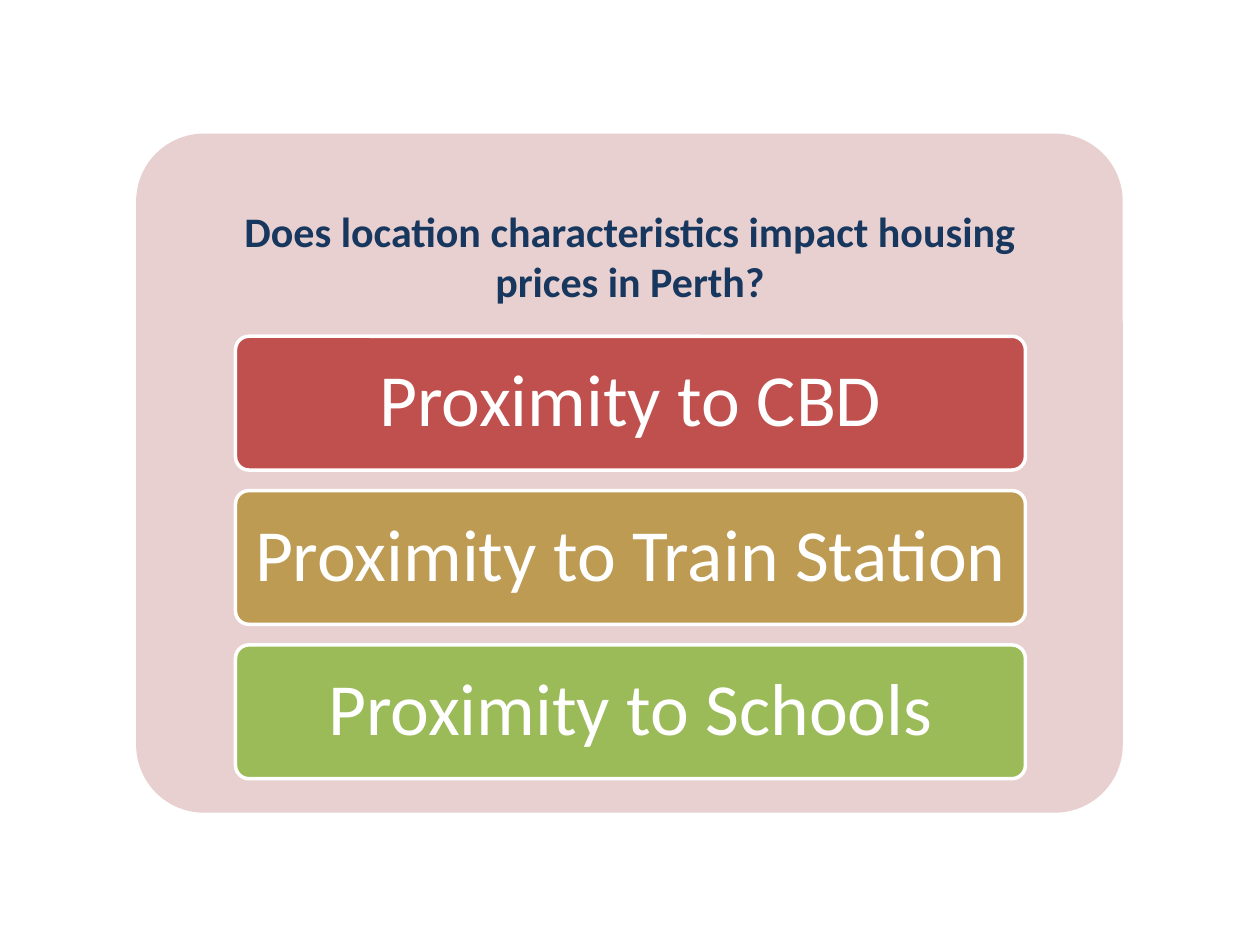
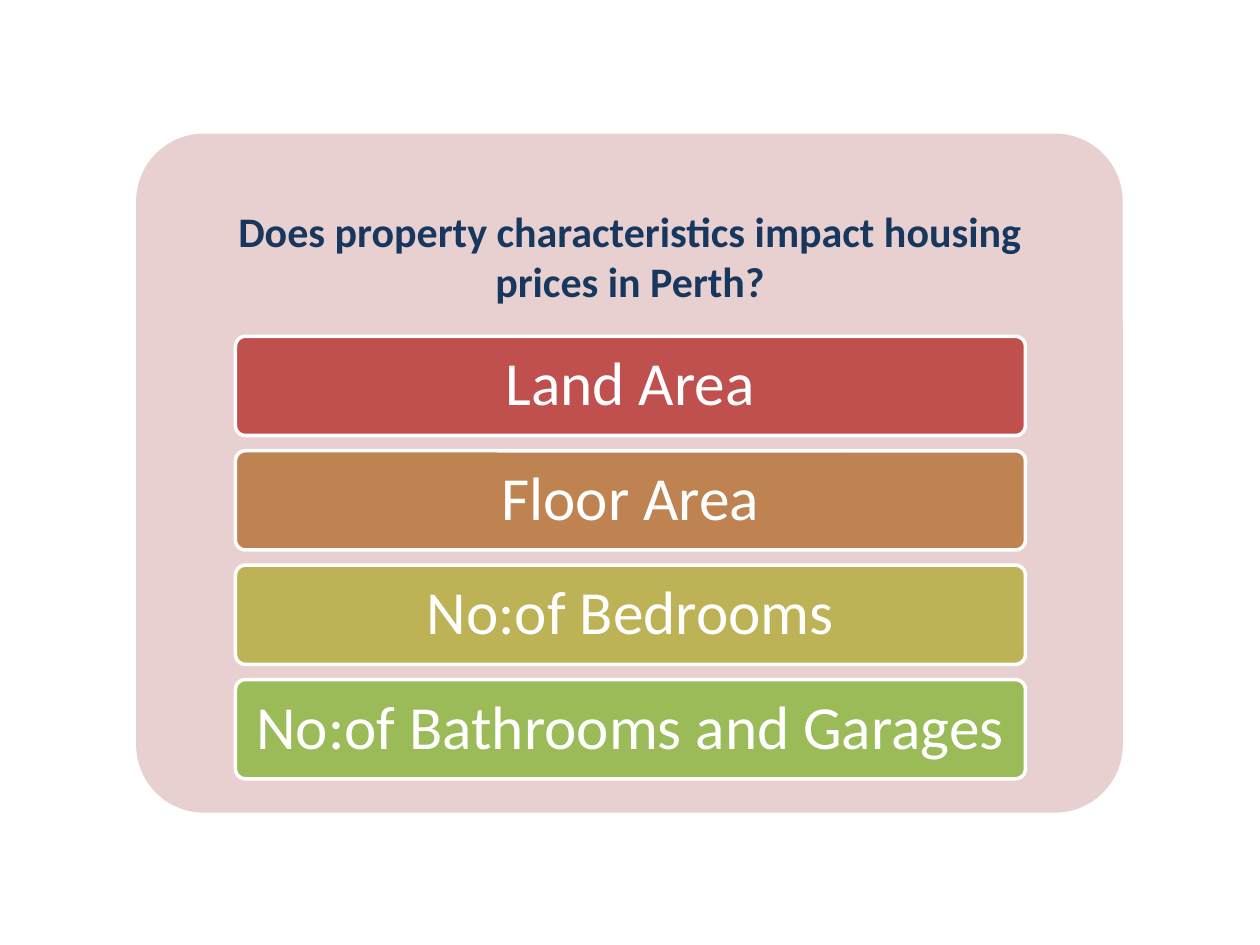
from dataclasses import dataclass

import pptx
import pptx.dml.color
import pptx.enum.shapes
import pptx.enum.text
import pptx.util

Pt = pptx.util.Pt
RGB = pptx.dml.color.RGBColor.from_string


@dataclass(frozen=True)
class Theme:
    font: str = "Calibri"
    panel: str = "E8D0D0"
    question: str = "17375E"
    white: str = "FFFFFF"
    red: str = "C0504D"
    copper: str = "BE8351"
    ochre: str = "BD9B53"
    olive: str = "BDB255"
    green: str = "9BBB59"
    question_size: int = 24
    three_factor_size: int = 42
    four_factor_size: int = 35


THEME = Theme()
TITLE_ONLY = 5

# Left, top, width and height in points
PANEL = (77.8, 76.3, 563.8, 388.1)
QUESTION = (128.9, 113.8, 462.2, 65.5)
FACTOR_STACK = (134.6, 192.2, 451.4, 252.8)
GAP_TO_BAR = 2 / 13


def write_centred(frame, text, size, color, bold=False):
    paragraph = frame.paragraphs[0]
    paragraph.alignment = pptx.enum.text.PP_ALIGN.CENTER
    run = paragraph.add_run()
    run.text = text
    run.font.name = THEME.font
    run.font.size = Pt(size)
    run.font.bold = bold
    run.font.color.rgb = RGB(color)
    return paragraph


def add_rounded_box(slide, box, fill):
    shape = slide.shapes.add_shape(
        pptx.enum.shapes.MSO_SHAPE.ROUNDED_RECTANGLE, *map(Pt, box))
    shape.adjustments[0] = 0.1
    shape.shadow.inherit = False
    shape.fill.solid()
    shape.fill.fore_color.rgb = RGB(fill)
    return shape


def add_panel(slide):
    """Place the panel behind the title placeholder."""
    panel = add_rounded_box(slide, PANEL, THEME.panel)
    panel.line.fill.background()
    slide.shapes.title.element.addprevious(panel.element)


def set_question(slide, text):
    title = slide.shapes.title
    title.left, title.top, title.width, title.height = map(Pt, QUESTION)
    frame = title.text_frame
    frame.word_wrap = True
    frame.auto_size = pptx.enum.text.MSO_AUTO_SIZE.NONE
    frame.vertical_anchor = pptx.enum.text.MSO_ANCHOR.TOP
    write_centred(frame, text, THEME.question_size, THEME.question, bold=True)


def add_factor_bar(slide, box, label, fill, size):
    bar = add_rounded_box(slide, box, fill)
    bar.line.color.rgb = RGB(THEME.white)
    bar.line.width = Pt(2)
    frame = bar.text_frame
    frame.word_wrap = True
    frame.vertical_anchor = pptx.enum.text.MSO_ANCHOR.MIDDLE
    frame.margin_left = frame.margin_right = Pt(6)
    frame.margin_top = frame.margin_bottom = Pt(6)
    write_centred(frame, label, size, THEME.white).line_spacing = 0.9


def add_factor_stack(slide, factors, size):
    """Share the stack height among the bars, with gaps in proportion."""
    left, top, width, height = FACTOR_STACK
    count = len(factors)
    bar_height = height / (count + (count - 1) * GAP_TO_BAR)
    pitch = bar_height * (1 + GAP_TO_BAR)
    for row, (label, fill) in enumerate(factors):
        box = (left, top + row * pitch, width, bar_height)
        add_factor_bar(slide, box, label, fill, size)


def add_question_slide(deck, question, factors, size):
    slide = deck.slides.add_slide(deck.slide_layouts[TITLE_ONLY])
    add_panel(slide)
    set_question(slide, question)
    add_factor_stack(slide, factors, size)


def main():
    deck = pptx.Presentation()
    deck.slide_width, deck.slide_height = Pt(720), Pt(540)
    add_question_slide(
        deck,
        "Does location characteristics impact housing prices in Perth?",
        [("Proximity to CBD", THEME.red),
         ("Proximity to Train Station", THEME.ochre),
         ("Proximity to Schools", THEME.green)],
        THEME.three_factor_size)
    add_question_slide(
        deck,
        "Does property characteristics impact housing prices in Perth?",
        [("Land Area", THEME.red),
         ("Floor Area", THEME.copper),
         ("No:of Bedrooms", THEME.olive),
         ("No:of Bathrooms and Garages", THEME.green)],
        THEME.four_factor_size)
    deck.save("out.pptx")


if __name__ == "__main__":
    main()
